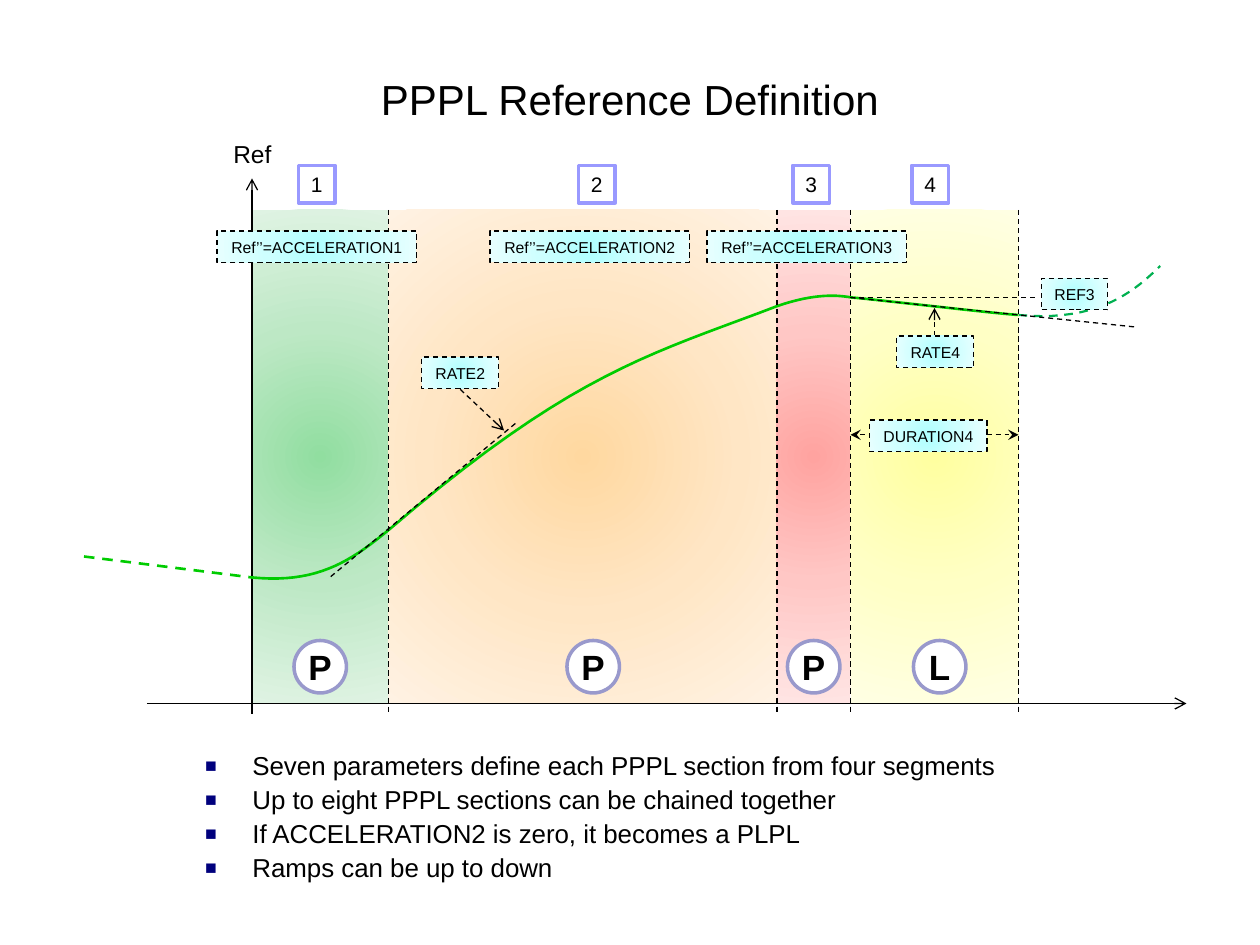
"""Build the PPPL reference definition slide."""
from lxml.etree import SubElement
from pptx import Presentation
from pptx.dml.color import RGBColor
from pptx.enum.dml import MSO_LINE
from pptx.enum.shapes import MSO_CONNECTOR, MSO_SHAPE
from pptx.enum.text import MSO_ANCHOR, MSO_AUTO_SIZE, PP_ALIGN
from pptx.oxml.ns import qn
from pptx.util import Pt

BLACK, WHITE = RGBColor(0, 0, 0), RGBColor(255, 255, 255)
CURVE_GREEN, NEXT_GREEN = RGBColor(0, 0xCC, 0), RGBColor(0, 0xB0, 0x50)
NUMBER_BLUE, CIRCLE_BLUE = RGBColor(0x99, 0x99, 0xFF), RGBColor(0x99, 0x99, 0xCC)
BULLET_NAVY = RGBColor(0, 0, 0x7D)


def shades(*codes):
    return [RGBColor.from_string(code) for code in codes]


GREENS = shades("91DEA0", "BDE8C5", "DFF3E3")
ORANGES = shades("FFD8A0", "FFE6C5", "FFF2E3")
REDS = shades("FFA3A0", "FFC7C5", "FFE4E3")
YELLOWS = shades("FFFFA0", "FFFFC5", "FFFFE3")
CYANS = shades("AFFFFF", "CEFFFF", "E7FFFF")

TITLE = "PPPL Reference Definition"
BULLETS = [
    "Seven parameters define each PPPL section from four segments",
    "Up to eight PPPL sections can be chained together",
    "If ACCELERATION2 is zero, it becomes a PLPL",
    "Ramps can be up to down",
]
TOP, AXIS, TICK_END = 120, 402, 408
# left, right, shades, number centre, letter centre, letter
SEGMENTS = [
    (144, 222, GREENS, 181, 183, "P"),
    (222, 444, ORANGES, 341, 339, "P"),
    (444, 486, REDS, 463.5, 465, "P"),
    (486, 582, YELLOWS, 531.5, 537, "L"),
]
LABELS = [
    ("Ref’’=ACCELERATION1", 124, 132, 114),
    ("Ref’’=ACCELERATION2", 280, 132, 114),
    ("Ref’’=ACCELERATION3", 404, 132, 114),
    ("RATE2", 241, 204, 44),
    ("RATE4", 512.5, 192, 44),
    ("REF3", 595, 159, 38),
    ("DURATION4", 497, 240, 67),
]
AXES = [(84, AXIS, 678, AXIS), (144, TICK_END, 144, 102)]
GUIDES = [
    ((486, 248.5, 582, 248.5), {"headEnd": "stealth", "tailEnd": "stealth"}),
    ((485.5, 170, 593, 170), {}),
    ((534, 192, 534, 176), {"tailEnd": "arrow"}),
    ((294.5, 242, 189, 329.5), {}),
    ((263, 222.5, 288, 246), {"tailEnd": "arrow"}),
    ((486, 170, 650, 187), {}),
]
REFERENCE = [
    (144, 330), (180, 333.5), (199, 322), (222, 303),
    (327.5, 212.5), (372, 202.5), (444, 175),
    (458.5, 170), (472.5, 167.5), (486.5, 170),
    (494.5, 170.5), (571, 179.5), (582, 180),
]
NEXT_SECTION = [(582, 180), (629, 184.5), (649.5, 165), (663, 152)]

deck = Presentation()
deck.slide_width, deck.slide_height = Pt(720), Pt(540)
page = deck.slides.add_slide(deck.slide_layouts[1])


def apply(target, **values):
    for name, value in values.items():
        setattr(target, name, value)


def place(box, left, top, width, height):
    apply(box, left=Pt(left), top=Pt(top), width=Pt(width), height=Pt(height))


def style_line(line, color, width, dashed=False):
    line.color.rgb = color
    line.width = Pt(width)
    if dashed:
        line.dash_style = MSO_LINE.DASH


def write(para, text, size, align=PP_ALIGN.CENTER, bold=False):
    para.alignment = align
    span = para.add_run()
    span.text = text
    apply(span.font, name="Arial", size=Pt(size), bold=bold)
    span.font.color.rgb = BLACK


def fill_radial(box, colors):
    box.fill.background()
    properties = box.fill._xPr
    empty = properties.find(qn("a:noFill"))
    gradient = SubElement(properties, qn("a:gradFill"), rotWithShape="1")
    properties.replace(empty, gradient)
    stops = SubElement(gradient, qn("a:gsLst"))
    for index, color in enumerate(colors):
        stop = SubElement(stops, qn("a:gs"), pos=str(index * 50000))
        SubElement(stop, qn("a:srgbClr"), val=str(color))
    circle = SubElement(gradient, qn("a:path"), path="circle")
    SubElement(circle, qn("a:fillToRect"), l="50000", t="50000", r="50000", b="50000")


def add_box(at, fill, line=None, text="", size=9, bold=False, kind=MSO_SHAPE.RECTANGLE):
    box = page.shapes.add_shape(kind, *map(Pt, at))
    box.shadow.inherit = False
    if isinstance(fill, list):
        fill_radial(box, fill)
    else:
        box.fill.solid()
        box.fill.fore_color.rgb = fill
    if line:
        style_line(box.line, *line)
    else:
        box.line.fill.background()
    if text:
        apply(box.text_frame, word_wrap=False, auto_size=MSO_AUTO_SIZE.NONE,
              vertical_anchor=MSO_ANCHOR.MIDDLE)
        write(box.text_frame.paragraphs[0], text, size, bold=bold)


def add_line(ends, color=BLACK, width=0.75, dashed=True, arrows=None):
    link = page.shapes.add_connector(MSO_CONNECTOR.STRAIGHT, *map(Pt, ends))
    style_line(link.line, color, width, dashed)
    for end, kind in (arrows or {}).items():
        SubElement(link.line._get_or_add_ln(), qn("a:" + end), type=kind)
    SubElement(link._element.spPr, qn("a:effectLst"))


def add_curve(knots, color, width, dashed=False, steps=20):
    points = []
    for first in range(0, len(knots) - 1, 3):
        a, b, c, d = knots[first:first + 4]
        for step in range(1, steps + 1):
            t = step / steps
            u = 1 - t
            points.append([Pt(u**3 * a[i] + 3 * u * u * t * b[i] + 3 * u * t * t * c[i] + t**3 * d[i])
                           for i in (0, 1)])
    builder = page.shapes.build_freeform(Pt(knots[0][0]), Pt(knots[0][1]))
    builder.add_line_segments(points, close=False)
    curve = builder.convert_to_shape()
    curve.shadow.inherit = False
    curve.fill.background()
    style_line(curve.line, color, width, dashed)


title = page.shapes.title
place(title, 36, 36, 648, 41)
apply(title.text_frame, vertical_anchor=MSO_ANCHOR.MIDDLE, auto_size=MSO_AUTO_SIZE.NONE)
write(title.text_frame.paragraphs[0], TITLE, 24)

body = page.placeholders[1]
place(body, 110, 427, 539, 87)
frame = body.text_frame
apply(frame, auto_size=MSO_AUTO_SIZE.NONE, word_wrap=True)
for index, text in enumerate(BULLETS):
    para = frame.add_paragraph() if index else frame.paragraphs[0]
    write(para, text, 14.8, PP_ALIGN.LEFT)
    apply(para, line_spacing=0.9, space_before=Pt(3.4))
    properties = para._p.get_or_add_pPr()
    properties.set("marL", str(Pt(27)))
    properties.set("indent", str(-Pt(27)))
    bullet_color = SubElement(properties, qn("a:buClr"))
    SubElement(bullet_color, qn("a:srgbClr"), val=str(BULLET_NAVY))
    SubElement(properties, qn("a:buSzPct"), val="75000")
    SubElement(properties, qn("a:buFont"), typeface="Arial")
    SubElement(properties, qn("a:buChar"), char="■")

add_curve(NEXT_SECTION, NEXT_GREEN, 1.25, dashed=True)
for left, right, colors, *_ in SEGMENTS:
    add_box((left, TOP, right - left, AXIS - TOP), colors)
add_box((126, 75.5, 36.5, 24.5), WHITE, (WHITE, 2), "Ref", 14)
for ends in AXES:
    add_line(ends, dashed=False, arrows={"tailEnd": "arrow"})
add_line((48, 318, 144, 330), CURVE_GREEN, 1.5)
add_curve(REFERENCE, CURVE_GREEN, 1.5)
for _, right, *_ in SEGMENTS:
    add_line((right, TOP, right, TICK_END))
for ends, arrows in GUIDES:
    add_line(ends, arrows=arrows)
for text, left, top, width in LABELS:
    add_box((left, top, width, 18), CYANS, (BLACK, 0.75, True), text)
for number, (_, _, _, number_x, letter_x, letter) in enumerate(SEGMENTS, 1):
    add_box((number_x - 10.5, 94.5, 21, 21.5), WHITE, (NUMBER_BLUE, 2), str(number), 12)
    add_box((letter_x - 15, 366, 30, 30), WHITE, (CIRCLE_BLUE, 2), letter, 20, True, MSO_SHAPE.OVAL)

deck.save("out.pptx")
